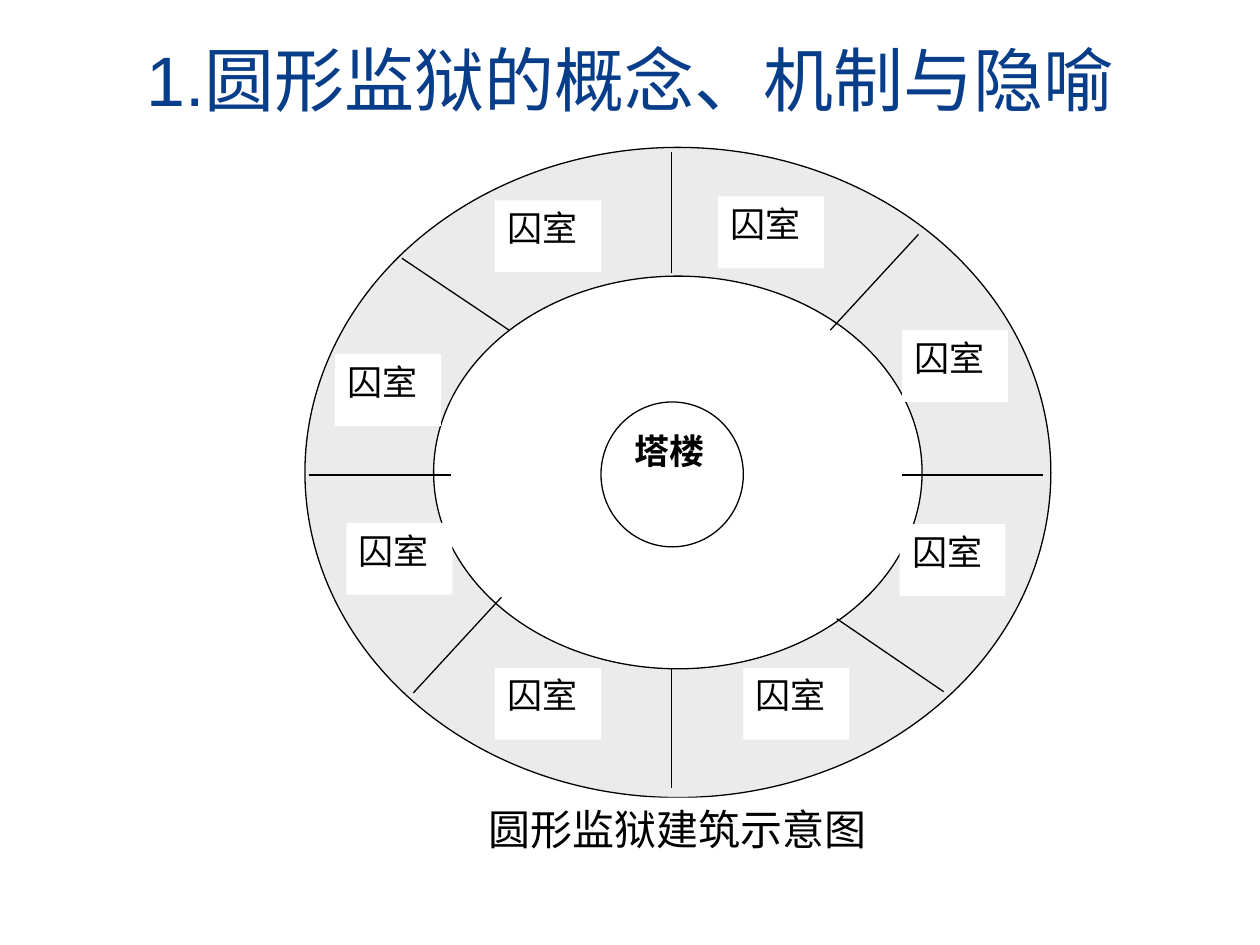
from lxml.etree import SubElement
from pptx import Presentation
from pptx.dml.color import RGBColor
from pptx.enum.shapes import MSO_CONNECTOR, MSO_SHAPE
from pptx.enum.text import MSO_ANCHOR, PP_ALIGN
from pptx.oxml.ns import qn
from pptx.util import Inches, Pt

BLACK = RGBColor(0x00, 0x00, 0x00)
WHITE = RGBColor(0xFF, 0xFF, 0xFF)
SILVER = RGBColor(0xC0, 0xC0, 0xC0)
NAVY = RGBColor(0x08, 0x3D, 0x8A)

ASIAN_FONT = "Noto Sans CJK SC"
LINE_WIDTH = Pt(0.75)
CELL_SIZE = (0.84, 0.57)

# Text formats
TITLE = {"name": "Arial", "size": Pt(40)}
TOWER = {"name": "Times New Roman", "size": Pt(20), "bold": True}
CELL = {"name": "Times New Roman", "size": Pt(20)}
CAPTION = {"name": ASIAN_FONT, "size": Pt(24)}

# Walls between cells: start x, start y, end x, end y
WALLS = [
    (3.19, 2.05, 4.04, 2.62),
    (5.33, 2.17, 5.33, 1.21),
    (5.33, 6.25, 5.33, 5.30),
    (2.45, 3.77, 3.58, 3.77),
    (7.16, 3.77, 8.28, 3.77),
    (6.64, 4.91, 7.49, 5.49),
    (6.59, 2.62, 7.29, 1.86),
    (3.28, 5.50, 3.98, 4.74),
]

# Left and top of each cell label
CELLS = [
    (3.93, 1.59), (7.16, 2.62), (5.70, 1.56), (2.75, 4.15),
    (2.66, 2.81), (3.93, 5.30), (7.14, 4.16), (5.90, 5.30),
]


class DiagramPage:
    """Draws the title on a page and the plan in one group."""

    def __init__(self, page):
        self.page = page
        self.plan = page.shapes.add_group_shape()

    def add_text(self, shape, text, formats, color=BLACK,
                 align=PP_ALIGN.JUSTIFY, anchor=MSO_ANCHOR.TOP):
        frame = shape.text_frame
        frame.word_wrap = True
        frame.vertical_anchor = anchor
        para = frame.paragraphs[0]
        para.alignment = align
        span = para.add_run()
        span.text = text
        for name, value in formats.items():
            setattr(span.font, name, value)
        span.font.color.rgb = color
        SubElement(span.font._element, qn("a:ea")).set("typeface", ASIAN_FONT)

    def title(self, text, left, top, width, height):
        box = self.page.shapes.add_textbox(
            Inches(left), Inches(top), Inches(width), Inches(height))
        self.add_text(box, text, TITLE, NAVY, PP_ALIGN.CENTER, MSO_ANCHOR.MIDDLE)

    def shape(self, kind, left, top, width, height, fill=WHITE, outlined=False):
        shape = self.plan.shapes.add_shape(
            kind, Inches(left), Inches(top), Inches(width), Inches(height))
        shape.shadow.inherit = False
        shape.fill.solid()
        shape.fill.fore_color.rgb = fill
        if outlined:
            shape.line.color.rgb = BLACK
            shape.line.width = LINE_WIDTH
        else:
            shape.line.fill.background()
        return shape

    def ring(self, left, top, width, height, thickness, opacity):
        ring = self.shape(MSO_SHAPE.DONUT, left, top, width, height,
                          SILVER, outlined=True)
        ring.adjustments[0] = thickness
        color = ring._element.spPr.find(qn("a:solidFill")).find(qn("a:srgbClr"))
        SubElement(color, qn("a:alpha")).set("val", str(opacity * 1000))

    def label(self, text, left, top, width, height, formats, align=PP_ALIGN.JUSTIFY):
        box = self.shape(MSO_SHAPE.RECTANGLE, left, top, width, height)
        self.add_text(box, text, formats, align=align)

    def wall(self, *ends):
        wall = self.plan.shapes.add_connector(
            MSO_CONNECTOR.STRAIGHT, *[Inches(value) for value in ends])
        wall.line.color.rgb = BLACK
        wall.line.width = LINE_WIDTH
        SubElement(wall._element.spPr, qn("a:effectLst"))


def main():
    deck = Presentation()
    deck.slide_width, deck.slide_height = Inches(10), Inches(7.5)
    diagram = DiagramPage(deck.slides.add_slide(deck.slide_layouts[6]))

    diagram.title("1.圆形监狱的概念、机制与隐喻", 0.5, 0, 9, 1.25)

    # Ring of cells and central tower
    diagram.ring(2.42, 1.17, 5.92, 5.16, thickness=0.198, opacity=30)
    tower = diagram.shape(MSO_SHAPE.FLOWCHART_CONNECTOR, 4.77, 3.19, 1.13, 1.15,
                          outlined=True)
    diagram.add_text(tower, "塔楼", TOWER)

    # Walls, cell labels and caption
    for ends in WALLS:
        diagram.wall(*ends)
    for left, top in CELLS:
        diagram.label("囚室", left, top, *CELL_SIZE, CELL)
    diagram.label("圆形监狱建筑示意图", 3.66, 6.33, 3.43, 0.67, CAPTION,
                  PP_ALIGN.CENTER)

    deck.save("out.pptx")


if __name__ == "__main__":
    main()
